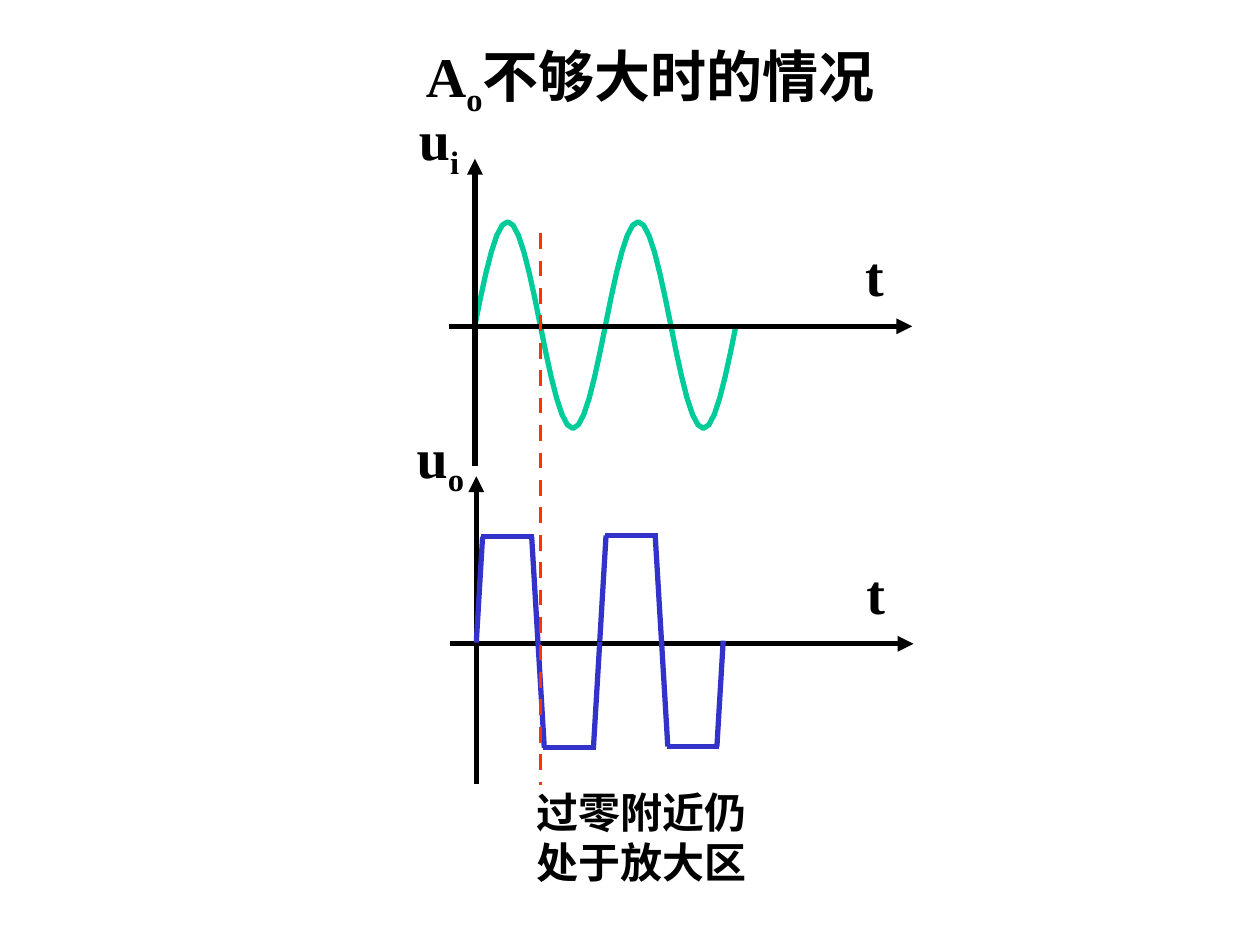
from collections import namedtuple
from math import pi, sin

from lxml.etree import SubElement
from pptx import Presentation
from pptx.dml.color import RGBColor
from pptx.enum.dml import MSO_LINE_DASH_STYLE as Dash
from pptx.enum.shapes import MSO_CONNECTOR as Connector
from pptx.enum.text import MSO_ANCHOR as Anchor, MSO_AUTO_SIZE as AutoSize, PP_ALIGN as Align
from pptx.oxml.ns import qn
from pptx.util import Inches, Pt

# Grid of 100 columns by 75 rows
COLUMNS, ROWS = 100, 75
UNIT = Inches(10) // COLUMNS
FONT = "Times New Roman"
BLACK, GREEN, BLUE, RED = "000000", "00CC99", "3333CC", "FF3300"
HALF_WAVES = 4

Box = namedtuple("Box", "left top width height")


def grid(value):
    return round(value * UNIT)


def colour(code):
    return RGBColor.from_string(code)


def style_line(line, code, weight):
    line.color.rgb = colour(code)
    line.width = Pt(weight)


def add_line(page, start, end, code=BLACK, weight=3, arrow=False, dash=None):
    line = page.shapes.add_connector(
        Connector.STRAIGHT, *(grid(value) for value in (*start, *end)))
    style_line(line.line, code, weight)
    if dash:
        line.line.dash_style = dash
    if arrow:
        SubElement(line.line._get_or_add_ln(), qn("a:tailEnd"), type="triangle")
    SubElement(line._element.spPr, qn("a:effectLst"))


def write(shape, text, size=32, subscript="", rest="", align=Align.LEFT):
    frame = shape.text_frame
    frame.word_wrap = True
    frame.auto_size = AutoSize.NONE
    frame.vertical_anchor = Anchor.TOP
    para = frame.paragraphs[0]
    para.alignment = align
    for part in filter(None, (text, subscript, rest)):
        span = para.add_run()
        span.text = part
        span.font.name = FONT
        span.font.size = Pt(size)
        span.font.bold = True
        span.font.color.rgb = colour(BLACK)
        if part == subscript:
            span.font._element.set("baseline", "-25000")


def add_text(page, box, text, **style):
    write(page.shapes.add_textbox(*map(grid, box)), text, **style)


def add_title(page, box):
    title = page.shapes.title
    title.left, title.top, title.width, title.height = map(grid, box)
    write(title, "A", subscript="o", rest="不够大时的情况")


def origin(box):
    return box.left + 2.1, box.top + 13.3


def add_axes(page, box, subscript):
    x, y = origin(box)
    add_text(page, Box(box.left + 30.8, box.top + 6, 6, 6.4), "t", align=Align.CENTER)
    add_line(page, (box.left, y), (box.left + box.width, y), arrow=True)
    add_line(page, (x, box.top + box.height), (x, box.top), arrow=True)
    add_text(page, Box(box.left - 4.6, box.top - 4.8, 7.7, 7.1), "u",
             subscript=subscript, align=Align.CENTER)


def add_sine_wave(page, box, half=5.18, height=8.2, steps=12):
    x, y = origin(box)
    y -= 0.1
    for index in range(HALF_WAVES):
        points = [(grid(x + half * (index + step / steps)),
                   grid(y - (-1) ** index * height * sin(pi * step / steps)))
                  for step in range(steps + 1)]
        builder = page.shapes.build_freeform(*points[0])
        builder.add_line_segments(points[1:], close=False)
        arch = builder.convert_to_shape()
        arch.shadow.inherit = False
        arch.fill.background()
        style_line(arch.line, GREEN, 3)


def add_clipped_wave(page, box, half=4.9, height=8.4, slope=0.5):
    x, y = origin(box)
    for index in range(HALF_WAVES):
        left, zero = x + half * index, y - 0.1 - 0.05 * index
        right = left + half
        level = zero - (-1) ** index * height
        for start, end in (
                ((left + 0.4, level), (right - 0.3, level)),
                ((right - slope, level), (right, zero)),
                ((left + slope, level), (left, zero))):
            add_line(page, start, end, BLUE)


def add_crossing_note(page, box):
    # Dashed marker through both plots, with its note at the foot
    x, foot = box.left + 1.3, box.top + 0.4
    add_line(page, (x, 18.5), (x, foot), RED, 2.25, dash=Dash.DASH)
    add_text(page, box, "过零附近仍处于放大区", size=24)


def main():
    deck = Presentation()
    deck.slide_width, deck.slide_height = UNIT * COLUMNS, UNIT * ROWS
    page = deck.slides.add_slide(deck.slide_layouts[5])

    # Input plot above, output plot below
    input_box = Box(35.6, 12.6, 36.8, 24.4)
    output_box = Box(35.7, 37.8, 36.8, 24.4)
    add_sine_wave(page, input_box)
    add_axes(page, input_box, "i")
    add_axes(page, output_box, "o")
    add_clipped_wave(page, output_box)

    add_crossing_note(page, Box(41.6, 61.9, 21.5, 9))
    add_title(page, Box(32.8, 2.8, 39, 7.1))
    deck.save("out.pptx")


if __name__ == "__main__":
    main()
